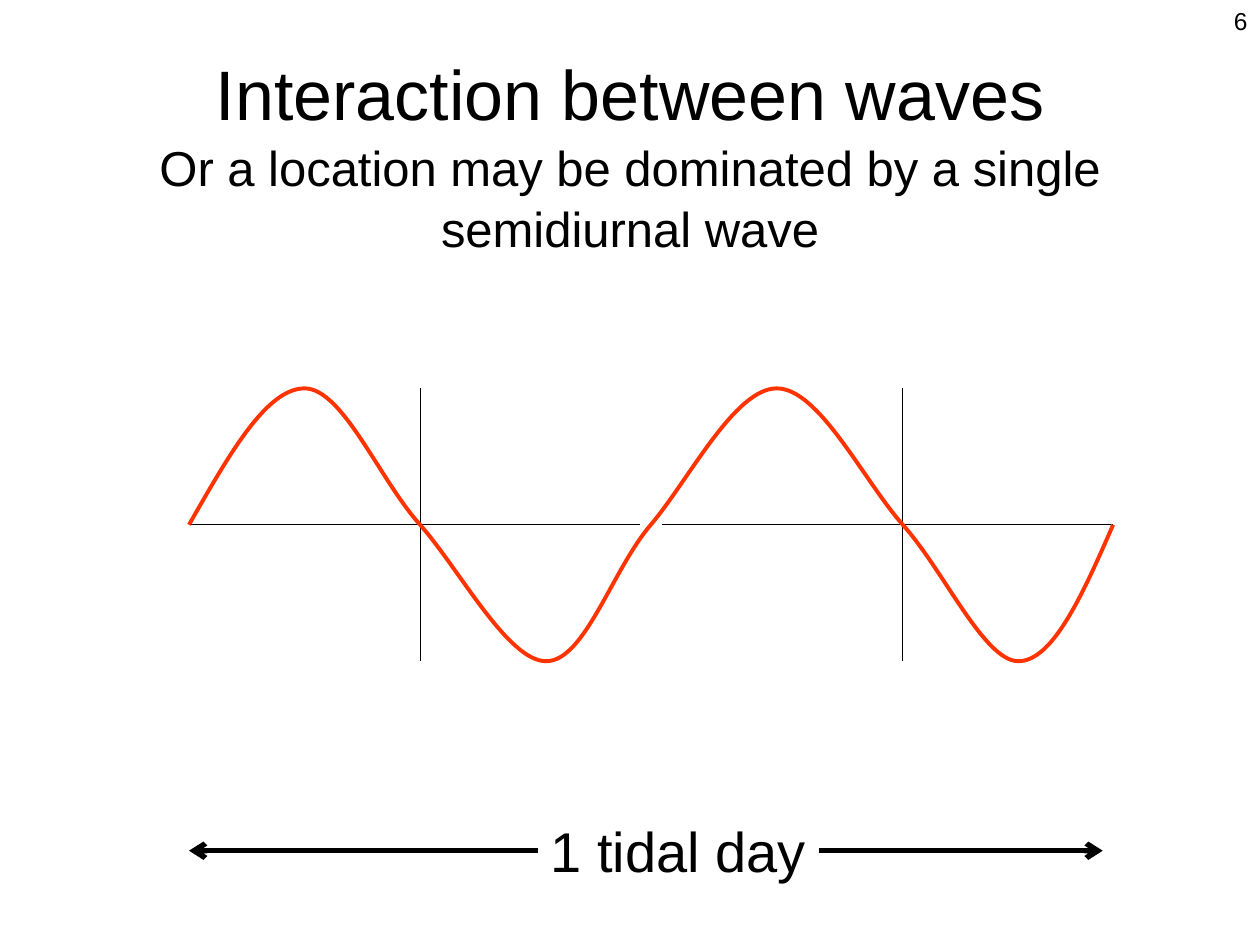
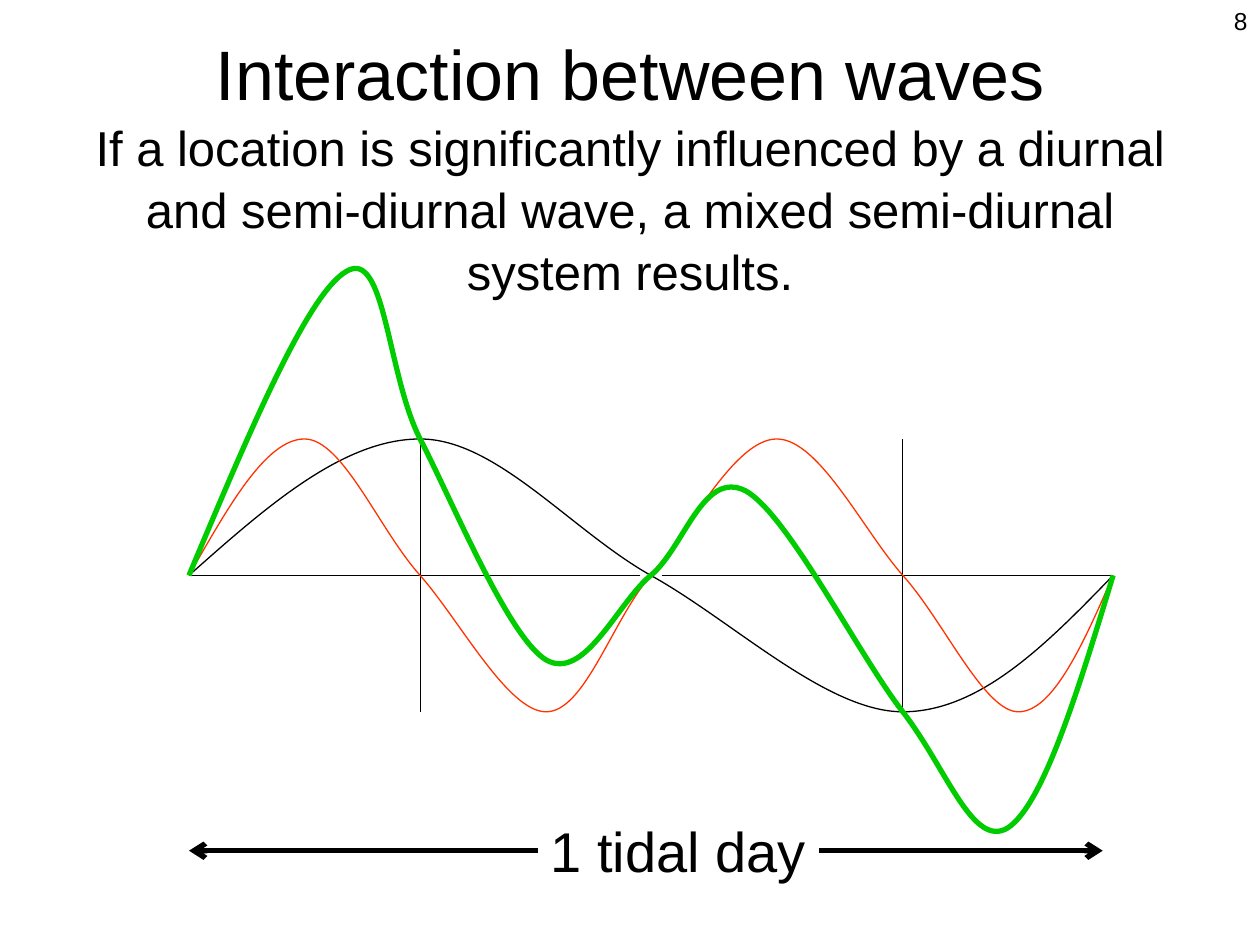
from lxml import etree
from pptx import Presentation
from pptx.dml.color import RGBColor
from pptx.enum.shapes import MSO_CONNECTOR, MSO_SHAPE
from pptx.enum.text import MSO_ANCHOR, MSO_AUTO_SIZE, PP_ALIGN
from pptx.oxml.ns import qn
from pptx.util import Cm, Pt

COLORS = {"ink": "000000", "paper": "FFFFFF", "semidiurnal": "FF3300", "mixed": "00CC00"}
FONT = "Arial"
HEADING = "Interaction between waves"

DAY_START, DAY_END = 3.81, 22.44
QUARTER, THREE_QUARTERS = 8.47, 18.2
GAP_START, GAP_END = 12.91, 13.34
AMPLITUDE = 2.75

DIURNAL = [
    (DAY_START, 0),
    (5.36, 0.5), (6.91, 1), (QUARTER, 1),
    (10.01, 1), (11.51, 0.33), (13.12, 0),
    (14.76, -0.33), (16.66, -1), (THREE_QUARTERS, -1),
    (19.76, -1), (21.11, -0.5), (DAY_END, 0),
]
SEMIDIURNAL = [
    (DAY_START, 0),
    (4.6, 0.5), (5.36, 1), (6.14, 1),
    (6.91, 1), (7.65, 0.33), (QUARTER, 0),
    (9.27, -0.33), (10.24, -1), (11.01, -1),
    (11.79, -1), (12.34, -0.33), (13.12, 0),
    (13.89, 0.33), (14.81, 1), (15.66, 1),
    (16.51, 1), (17.4, 0.33), (THREE_QUARTERS, 0),
    (19.02, -0.33), (19.84, -1), (20.53, -1),
    (21.23, -1), (21.84, -0.5), (DAY_END, 0),
]
MIXED = [
    (DAY_START, 0),
    (5, 1.03), (6.2, 2.07), (6.99, 2.23),
    (7.77, 2.4), (7.8, 1.48), (QUARTER, 1),
    (9.14, 0.53), (10.24, -0.45), (11.01, -0.62),
    (11.79, -0.78), (12.45, -0.2), (13.12, 0),
    (13.79, 0.2), (14.17, 0.78), (15.03, 0.62),
    (15.88, 0.45), (17.32, -0.59), (THREE_QUARTERS, -1),
    (19.08, -1.41), (19.61, -2.01), (20.32, -1.85),
    (21.03, -1.68), (21.74, -0.84), (DAY_END, 0),
]


class TideDeck:
    def __init__(self):
        self.deck = Presentation()
        self.deck.slide_width, self.deck.slide_height = Cm(25.4), Cm(19.05)
        self.page = None

    def color(self, name):
        return RGBColor.from_string(COLORS[name])

    def format_spans(self, paragraph, *sizes):
        for span, size in zip(paragraph.runs, sizes):
            span.font.name = FONT
            span.font.size = Pt(size)
            span.font.color.rgb = self.color("ink")

    def set_margins(self, frame):
        frame.margin_left = frame.margin_right = Cm(0.25)
        frame.margin_top = frame.margin_bottom = Cm(0.13)

    def add_page(self, subtitle, top):
        self.page = self.deck.slides.add_slide(self.deck.slide_layouts[5])
        title = self.page.shapes.title
        title.left, title.top, title.width, title.height = Cm(1.27), Cm(top), Cm(22.86), Cm(3.18)
        frame = title.text_frame
        frame.text = f"{HEADING}\v{subtitle}"
        frame.auto_size = MSO_AUTO_SIZE.NONE
        frame.vertical_anchor = MSO_ANCHOR.MIDDLE
        self.set_margins(frame)
        paragraph = frame.paragraphs[0]
        paragraph.alignment = PP_ALIGN.CENTER
        paragraph.line_spacing = 1.05
        self.format_spans(paragraph, 40, 28)
        line_break = paragraph._p.find(qn("a:br"))
        etree.SubElement(line_break, qn("a:rPr"), sz="4000")

    def add_line(self, x1, y1, x2, y2, weight=0.75, arrows=False):
        line = self.page.shapes.add_connector(
            MSO_CONNECTOR.STRAIGHT, Cm(x1), Cm(y1), Cm(x2), Cm(y2))
        line.line.color.rgb = self.color("ink")
        line.line.width = Pt(weight)
        etree.SubElement(line._element.spPr, qn("a:effectLst"))
        if arrows:
            for end in ("a:headEnd", "a:tailEnd"):
                etree.SubElement(line.line._get_or_add_ln(), qn(end), type="arrow")

    def add_axes(self, level):
        for start, end in ((DAY_START, GAP_START), (GAP_END, DAY_END)):
            self.add_line(start, level, end, level)
        for x in (QUARTER, THREE_QUARTERS):
            self.add_line(x, level - AMPLITUDE, x, level)
            self.add_line(x, level, x, level + AMPLITUDE)

    def add_wave(self, points, level, color, weight):
        places = [(Cm(x), Cm(level - height * AMPLITUDE)) for x, height in points]
        builder = self.page.shapes.build_freeform(*places[0])
        builder.add_line_segments(places[1:], close=False)
        wave = builder.convert_to_shape()
        wave.shadow.inherit = False
        wave.fill.background()
        wave.line.color.rgb = self.color(color)
        wave.line.width = Pt(weight)
        outline = wave._element.spPr.find(".//" + qn("a:path"))
        segments = outline.findall(qn("a:lnTo"))
        for index in range(0, len(segments), 3):
            curve = etree.SubElement(outline, qn("a:cubicBezTo"))
            for segment in segments[index:index + 3]:
                curve.append(segment[0])
                outline.remove(segment)

    def add_day_span(self):
        self.add_line(DAY_START, 17.15, 22.23, 17.15, weight=3, arrows=True)
        box = self.page.shapes.add_shape(
            MSO_SHAPE.RECTANGLE, Cm(10.85), Cm(16.33), Cm(5.66), Cm(1.63))
        box.shadow.inherit = False
        box.fill.solid()
        box.fill.fore_color.rgb = self.color("paper")
        box.line.fill.background()
        frame = box.text_frame
        frame.text = "1 tidal day"
        frame.word_wrap = False
        frame.auto_size = MSO_AUTO_SIZE.SHAPE_TO_FIT_TEXT
        frame.vertical_anchor = MSO_ANCHOR.TOP
        self.set_margins(frame)
        frame.paragraphs[0].alignment = PP_ALIGN.LEFT
        self.format_spans(frame.paragraphs[0], 32)

    def add_page_number(self, number):
        box = self.page.shapes.add_textbox(Cm(19.48), Cm(0), Cm(5.92), Cm(1.32))
        frame = box.text_frame
        frame.text = str(number)
        frame.word_wrap = True
        self.set_margins(frame)
        frame.paragraphs[0].alignment = PP_ALIGN.RIGHT
        self.format_spans(frame.paragraphs[0], 14)

    def add_tide_page(self, number, subtitle, top, level, waves):
        self.add_page(subtitle, top)
        self.add_axes(level)
        for points, color, weight in waves:
            self.add_wave(points, level, color, weight)
        self.add_day_span()
        self.add_page_number(number)


def main():
    tides = TideDeck()
    tides.add_tide_page(
        6, "Or a location may be dominated by a single semidiurnal wave",
        1.47, 10.58, [(SEMIDIURNAL, "semidiurnal", 2.25)])
    tides.add_tide_page(
        8, "If a location is significantly influenced by a diurnal and semi-diurnal wave, "
        "a mixed semi-diurnal system results.",
        1.7, 11.6, [(DIURNAL, "ink", 0.75), (SEMIDIURNAL, "semidiurnal", 0.75), (MIXED, "mixed", 3)])
    tides.deck.save("out.pptx")


if __name__ == "__main__":
    main()
